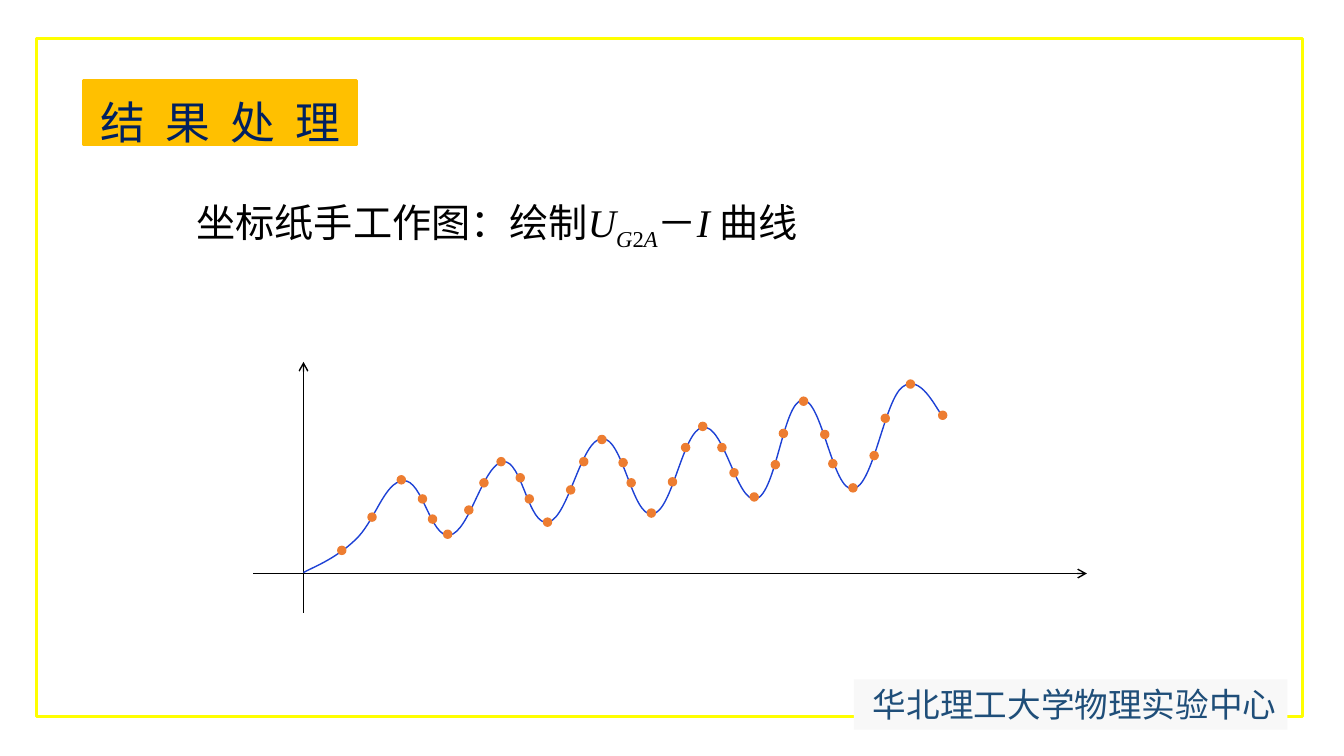
from dataclasses import dataclass
from pptx import Presentation
from pptx.dml.color import RGBColor
from pptx.enum.shapes import MSO_CONNECTOR, MSO_SHAPE
from pptx.enum.text import MSO_AUTO_SIZE, PP_ALIGN
from pptx.oxml.ns import qn
from pptx.oxml.xmlchemy import OxmlElement
from pptx.util import Pt

PX = 9144  # one px is a hundredth of an inch


@dataclass(frozen=True)
class Theme:
    frame: str = "FFFF00"
    footer_fill: str = "F8F8F8"
    footer_text: str = "1F4E79"
    heading_fill: str = "FFC000"
    heading_text: str = "002060"
    ink: str = "000000"
    curve: str = "1D41D5"
    reading: str = "ED7D31"
    latin: str = "Times New Roman"
    cjk: str = "Noto Sans CJK SC"
    heading_size: int = 32
    task_size: int = 28
    footer_size: int = 24
    thick: int = 2
    thin: int = 1


THEME = Theme()

# Curve relative to the origin: (first control, second control, end)
CURVE_START = (0, -1)
CURVE = [
    ((9, -6), (31, -14), (51, -33)), ((71, -51), (80, -91), (99, -92)),
    ((118, -94), (126, -35), (145, -38)), ((165, -42), (178, -108), (198, -111)),
    ((217, -113), (223, -46), (243, -51)), ((263, -56), (275, -132), (296, -134)),
    ((317, -135), (326, -56), (346, -59)), ((366, -61), (376, -142), (396, -145)),
    ((417, -149), (430, -69), (449, -74)), ((469, -80), (476, -171), (495, -172)),
    ((514, -174), (525, -81), (545, -84)), ((565, -86), (576, -171), (594, -185)),
    ((612, -199), (627, -164), (634, -156)),
]
# Centres of the readings relative to the origin
READINGS = [
    (38, -23), (68, -56), (97, -93), (118, -74), (128, -54), (143, -39),
    (164, -63), (179, -90), (196, -111), (215, -95), (224, -74), (242, -51),
    (265, -83), (278, -111), (296, -133), (317, -110), (325, -90), (345, -60),
    (366, -91), (379, -125), (396, -146), (415, -125), (427, -100), (447, -76),
    (468, -108), (476, -139), (496, -171), (517, -138), (525, -109), (545, -85),
    (566, -117), (577, -154), (602, -188), (634, -157),
]
READING_SIZE = 8


def emu(*lengths):
    return [length * PX for length in lengths]


def rgb(code):
    return RGBColor.from_string(code)


def add_block(slide, kind, box, fill=None, line=None, width=THEME.thin):
    block = slide.shapes.add_shape(kind, *emu(*box))
    block.shadow.inherit = False
    if fill:
        block.fill.solid()
        block.fill.fore_color.rgb = rgb(fill)
    else:
        block.fill.background()
    if line:
        block.line.color.rgb = rgb(line)
        block.line.width = Pt(width)
    else:
        block.line.fill.background()


def add_text(slide, box, pieces, size, color, latin):
    """Place one paragraph; each piece is (text, italic, subscript)."""
    holder = slide.shapes.add_textbox(*emu(*box))
    frame = holder.text_frame
    frame.word_wrap = True
    frame.auto_size = MSO_AUTO_SIZE.SHAPE_TO_FIT_TEXT
    paragraph = frame.paragraphs[0]
    for text, italic, subscript in pieces:
        run = paragraph.add_run()
        run.text = text
        font = run.font
        font.size = Pt(size)
        font.italic = italic
        font.color.rgb = rgb(color)
        font.name = latin
        east_asian = OxmlElement("a:ea")
        east_asian.set("typeface", THEME.cjk)
        font._element.append(east_asian)
        if subscript:
            font._element.set("baseline", "-25000")
    return paragraph


def draw_frame(slide, box):
    add_block(slide, MSO_SHAPE.RECTANGLE, box, line=THEME.frame, width=THEME.thick)


def draw_footer(slide, box):
    left, top, width, height = box
    add_block(slide, MSO_SHAPE.RECTANGLE, box, fill=THEME.footer_fill)
    add_text(slide, (left + 9, top, width - 2, height),
             [("华北理工大学物理实验中心", False, False)],
             THEME.footer_size, THEME.footer_text, THEME.cjk)


def draw_heading(slide, box):
    left, top, width, height = box
    add_block(slide, MSO_SHAPE.RECTANGLE, box, THEME.heading_fill,
              THEME.heading_fill, THEME.thick)
    heading = add_text(slide, (left, top - 18, width, height + 19),
                       [("结 果 处 理", False, False)],
                       THEME.heading_size, THEME.heading_text, THEME.latin)
    heading.alignment = PP_ALIGN.CENTER
    heading.line_spacing = 1.5
    heading.runs[0].font._element.set("spc", "360")  # letter spacing


def draw_task(slide, box):
    pieces = [
        ("坐标纸手工作图：绘制", False, False), ("U", True, False),
        ("G", True, True), ("2", False, True), ("A", True, True),
        ("－", False, False), ("I ", True, False), ("曲线", False, False),
    ]
    task = add_text(slide, box, pieces, THEME.task_size, THEME.ink, THEME.latin)
    task.line_spacing = 1.3


def draw_axis(slide, start, end):
    axis = slide.shapes.add_connector(MSO_CONNECTOR.STRAIGHT, *emu(*start, *end))
    axis.line.color.rgb = rgb(THEME.ink)
    axis.line.width = Pt(THEME.thin)
    arrow = OxmlElement("a:tailEnd")
    arrow.set("type", "arrow")
    axis.line._get_or_add_ln().append(arrow)
    axis._element.spPr.append(OxmlElement("a:effectLst"))


def draw_curve(slide, origin_x, origin_y):
    anchors = [CURVE_START] + [end for _, _, end in CURVE]
    builder = slide.shapes.build_freeform(*CURVE_START, scale=PX)
    builder.add_line_segments(anchors[1:], close=False)
    curve = builder.convert_to_shape(*emu(origin_x, origin_y))
    curve.shadow.inherit = False
    curve.fill.background()
    curve.line.color.rgb = rgb(THEME.curve)
    curve.line.width = Pt(THEME.thin)

    # Turn each straight segment into a cubic Bézier
    min_x = min(x for x, _ in anchors)
    min_y = min(y for _, y in anchors)
    segments = list(curve._element.iter(qn("a:lnTo")))
    for segment, knots in zip(segments, CURVE):
        bezier = OxmlElement("a:cubicBezTo")
        for x, y in knots:
            point = OxmlElement("a:pt")
            point.set("x", str(x - min_x))
            point.set("y", str(y - min_y))
            bezier.append(point)
        segment.getparent().replace(segment, bezier)


def draw_plot(slide, box):
    left, top, width, height = box
    origin_x, origin_y = left + 50, top + 210
    draw_axis(slide, (left, origin_y), (left + width, origin_y))
    draw_axis(slide, (origin_x, top + height), (origin_x, top))
    draw_curve(slide, origin_x, origin_y)
    half = READING_SIZE // 2
    for x, y in READINGS:
        dot = (origin_x + x - half, origin_y + y - half, READING_SIZE, READING_SIZE)
        add_block(slide, MSO_SHAPE.OVAL, dot, THEME.reading, THEME.reading)


def main():
    deck = Presentation()
    deck.slide_width, deck.slide_height = emu(1333, 750)
    slide = deck.slides.add_slide(deck.slide_layouts[6])
    draw_frame(slide, (36, 38, 1256, 673))
    draw_footer(slide, (847, 674, 430, 50))
    draw_heading(slide, (83, 80, 271, 64))
    draw_task(slide, (185, 176, 923, 71))
    draw_plot(slide, (251, 359, 827, 249))
    deck.save("out.pptx")


if __name__ == "__main__":
    main()
